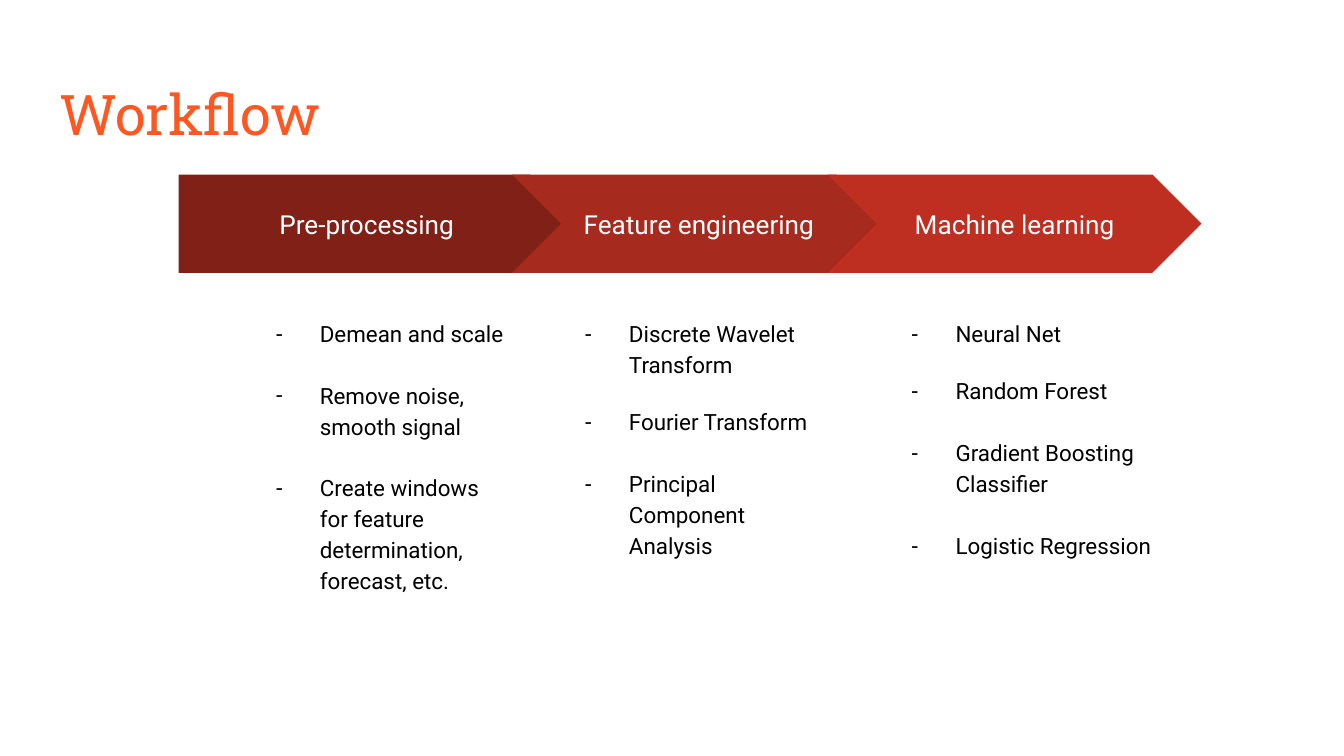
from lxml import etree
from pptx import Presentation
from pptx.dml.color import RGBColor
from pptx.enum.shapes import MSO_SHAPE
from pptx.enum.text import MSO_ANCHOR, MSO_AUTO_SIZE, PP_ALIGN
from pptx.oxml.ns import qn
from pptx.util import Inches, Pt

ORANGE = RGBColor(0xFF, 0x57, 0x22)
DARK_RED = RGBColor(0x80, 0x20, 0x17)
MEDIUM_RED = RGBColor(0xA7, 0x2A, 0x1E)
BRIGHT_RED = RGBColor(0xBE, 0x2F, 0x22)
WHITE = RGBColor(0xFF, 0xFF, 0xFF)
BLACK = RGBColor(0x00, 0x00, 0x00)

STAGES = [
    ("Pre-processing", MSO_SHAPE.PENTAGON, DARK_RED, 1.33, 2.98, 1, 1.78, 2.08,
     [("Demean and scale", 0),
      ("Remove noise, smooth signal", 16.6),
      ("Create windows for feature determination, forecast, etc.", 16.6)]),
    ("Feature engineering", MSO_SHAPE.CHEVRON, MEDIUM_RED, 3.81, 2.78, 2, 4.08, 2.08,
     [("Discrete Wavelet Transform", 0),
      ("Fourier Transform", 14.2),
      ("Principal \vComponent Analysis", 16.6)]),
    ("Machine learning", MSO_SHAPE.CHEVRON, BRIGHT_RED, 6.16, 2.78, 4, 6.51, 2.22,
     [("Neural Net", 0),
      ("Random Forest", 14.2),
      ("Gradient Boosting Classifier", 16.6),
      ("Logistic Regression", 16.6)]),
]


def place(shape, left, top, width, height):
    shape.left, shape.top = Inches(left), Inches(top)
    shape.width, shape.height = Inches(width), Inches(height)


def prepare_frame(shape, anchor):
    frame = shape.text_frame
    frame.word_wrap = True
    frame.auto_size = MSO_AUTO_SIZE.NONE
    frame.vertical_anchor = anchor
    frame.margin_left = frame.margin_right = Inches(0.1)
    frame.margin_top = frame.margin_bottom = Inches(0.1)
    return frame


presentation = Presentation()
presentation.slide_width = Inches(10)
presentation.slide_height = Inches(10) * 9 // 16
slide = presentation.slides.add_slide(presentation.slide_layouts.get_by_name("Comparison"))
placeholders = {shape.placeholder_format.idx: shape for shape in slide.placeholders}

title = slide.shapes.title
place(title, 0.34, 0.49, 9.32, 0.63)
paragraph = prepare_frame(title, MSO_ANCHOR.TOP).paragraphs[0]
paragraph.text = "Workflow"
paragraph.alignment = PP_ALIGN.LEFT
paragraph.font.name = "Roboto Slab"
paragraph.font.size = Pt(30)
paragraph.font.color.rgb = ORANGE

for label, kind, color, left, width, index, list_left, list_width, items in STAGES:
    arrow = slide.shapes.add_shape(kind, Inches(left), Inches(1.3), Inches(width), Inches(0.73))
    arrow.shadow.inherit = False
    arrow.fill.solid()
    arrow.fill.fore_color.rgb = color
    arrow.line.fill.background()
    paragraph = prepare_frame(arrow, MSO_ANCHOR.MIDDLE).paragraphs[0]
    paragraph.text = label
    paragraph.alignment = PP_ALIGN.CENTER
    paragraph.font.name = "Roboto"
    paragraph.font.size = Pt(14)
    paragraph.font.color.rgb = WHITE

    body = placeholders[index]
    place(body, list_left, 2.25, list_width, 2.86)
    frame = prepare_frame(body, MSO_ANCHOR.TOP)
    for number, (item, gap) in enumerate(items):
        paragraph = frame.add_paragraph() if number else frame.paragraphs[0]
        paragraph.text = item
        paragraph.line_spacing = 1.15
        paragraph.space_before = Pt(gap)
        paragraph.space_after = Pt(0)
        paragraph.font.name = "Roboto"
        paragraph.font.size = Pt(12)
        paragraph.font.bold = False
        paragraph.font.color.rgb = BLACK
        properties = paragraph._p.get_or_add_pPr()
        properties.set("marL", str(Inches(0.5)))
        properties.set("indent", str(Inches(-0.33)))
        bullet = etree.Element(qn("a:buChar"), char="-")
        properties.find(qn("a:defRPr")).addprevious(bullet)

unused = placeholders[3].element
unused.getparent().remove(unused)

presentation.save("out.pptx")
